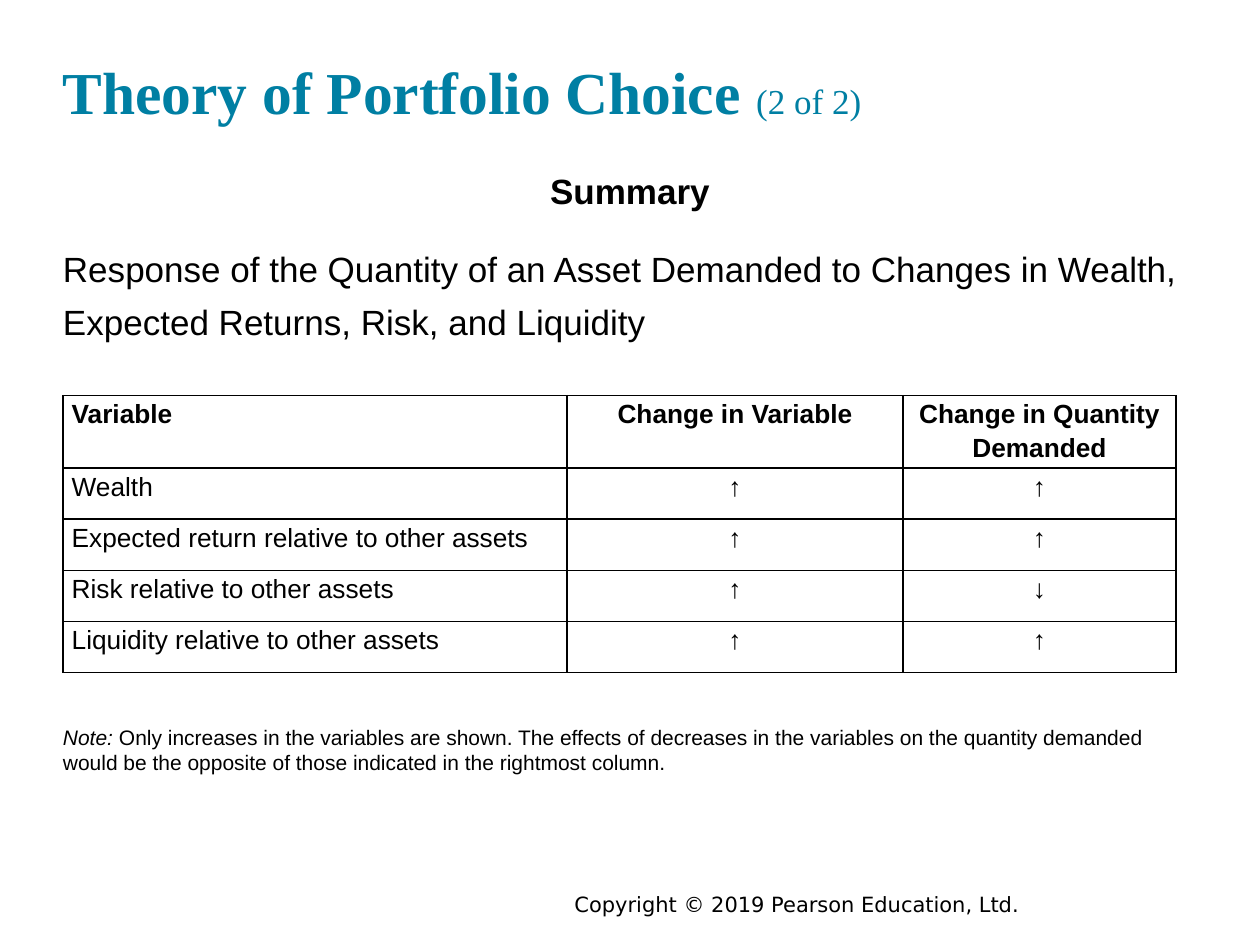
from lxml import etree
from pptx import Presentation
from pptx.dml.color import RGBColor
from pptx.enum.text import MSO_ANCHOR, PP_ALIGN
from pptx.oxml.ns import qn
from pptx.util import Pt

TEAL = RGBColor(0x00, 0x7F, 0xA3)
BLACK = RGBColor(0, 0, 0)
WHITE = RGBColor(0xFF, 0xFF, 0xFF)
LEFT, CENTER = PP_ALIGN.LEFT, PP_ALIGN.CENTER
TOP, BOTTOM = MSO_ANCHOR.TOP, MSO_ANCHOR.BOTTOM

COLUMN_WIDTHS = (288, 192, 156)
HEADER_HEIGHT, ROW_HEIGHT = 38.25, 29.25
TABLE_ROWS = (
    ("Variable", "Change in Variable", "Change in Quantity Demanded"),
    ("Wealth", "↑", "↑"),
    ("Expected return relative to other assets", "↑", "↑"),
    ("Risk relative to other assets", "↑", "↓"),
    ("Liquidity relative to other assets", "↑", "↑"),
)


def add_run(paragraph, text, size, font="Arial", color=BLACK, bold=False, italic=False):
    run = paragraph.add_run()
    run.text = text
    run.font.size = Pt(size)
    run.font.name = font
    run.font.color.rgb = color
    run.font.bold = bold
    run.font.italic = italic


def add_text_frame(slide, box, anchor=TOP, margins=(0, 0)):
    text_frame = slide.shapes.add_textbox(*map(Pt, box)).text_frame
    text_frame.word_wrap = True
    text_frame.vertical_anchor = anchor
    text_frame.margin_left = text_frame.margin_right = Pt(margins[0])
    text_frame.margin_top = text_frame.margin_bottom = Pt(margins[1])
    return text_frame


def add_title(slide, box):
    paragraph = add_text_frame(slide, box, BOTTOM).paragraphs[0]
    add_run(paragraph, "Theory of Portfolio Choice ", 34, "Times New Roman", TEAL, bold=True)
    add_run(paragraph, "(2 of 2)", 20, "Times New Roman", TEAL)


def add_summary(slide, box):
    text_frame = add_text_frame(slide, box)
    heading = text_frame.paragraphs[0]
    heading.alignment = CENTER
    heading.line_spacing = 1.25
    add_run(heading, "Summary", 20, bold=True)

    caption = text_frame.add_paragraph()
    caption.line_spacing = 1.25
    caption.space_before = Pt(15)
    add_run(caption, "Response of the Quantity of an Asset Demanded to Changes in Wealth, "
                     "Expected Returns, Risk, and Liquidity", 20)


def add_borders(cell):
    properties = cell._tc.get_or_add_tcPr()
    for side in ("a:lnL", "a:lnR", "a:lnT", "a:lnB"):
        line = etree.SubElement(properties, qn(side), w=str(Pt(1)))
        fill = etree.SubElement(line, qn("a:solidFill"))
        etree.SubElement(fill, qn("a:srgbClr"), val=str(BLACK))


def add_response_table(slide, left, top):
    height = HEADER_HEIGHT + ROW_HEIGHT * (len(TABLE_ROWS) - 1)
    table = slide.shapes.add_table(
        len(TABLE_ROWS), len(COLUMN_WIDTHS),
        Pt(left), Pt(top), Pt(sum(COLUMN_WIDTHS)), Pt(height)).table
    table.horz_banding = False
    for column, width in zip(table.columns, COLUMN_WIDTHS):
        column.width = Pt(width)

    for row_index, texts in enumerate(TABLE_ROWS):
        is_header = row_index == 0
        table.rows[row_index].height = Pt(HEADER_HEIGHT if is_header else ROW_HEIGHT)
        for column_index, text in enumerate(texts):
            cell = table.cell(row_index, column_index)
            cell.margin_left = cell.margin_right = Pt(5)
            cell.margin_top = cell.margin_bottom = Pt(0)
            add_borders(cell)
            cell.fill.solid()
            cell.fill.fore_color.rgb = WHITE
            paragraph = cell.text_frame.paragraphs[0]
            paragraph.alignment = CENTER if column_index else LEFT
            paragraph.line_spacing = 1.15
            add_run(paragraph, text, 15, bold=is_header)


def add_note(slide, box):
    paragraph = add_text_frame(slide, box).paragraphs[0]
    add_run(paragraph, "Note: ", 12, italic=True)
    add_run(paragraph, "Only increases in the variables are shown. The effects of decreases "
                       "in the variables on the quantity demanded would be the opposite of "
                       "those indicated in the rightmost column.", 12)


def add_copyright(slide, box):
    paragraph = add_text_frame(slide, box, margins=(7.2, 3.6)).paragraphs[0]
    paragraph.alignment = CENTER
    add_run(paragraph, "Copyright © 2019 Pearson Education, Ltd.", 12, "DejaVu Sans")


def main():
    presentation = Presentation()
    presentation.slide_width, presentation.slide_height = Pt(720), Pt(540)
    slide = presentation.slides.add_slide(presentation.slide_layouts[6])

    # Page footer
    add_copyright(slide, (212.4, 506, 486, 21.6))
    # Heading and introduction
    add_title(slide, (36, 17.3, 648, 54.7))
    add_summary(slide, (36, 90.7, 648, 90))
    # Table and its note
    add_response_table(slide, 36, 226)
    add_note(slide, (36, 414, 648, 38))

    presentation.save("out.pptx")


if __name__ == "__main__":
    main()
